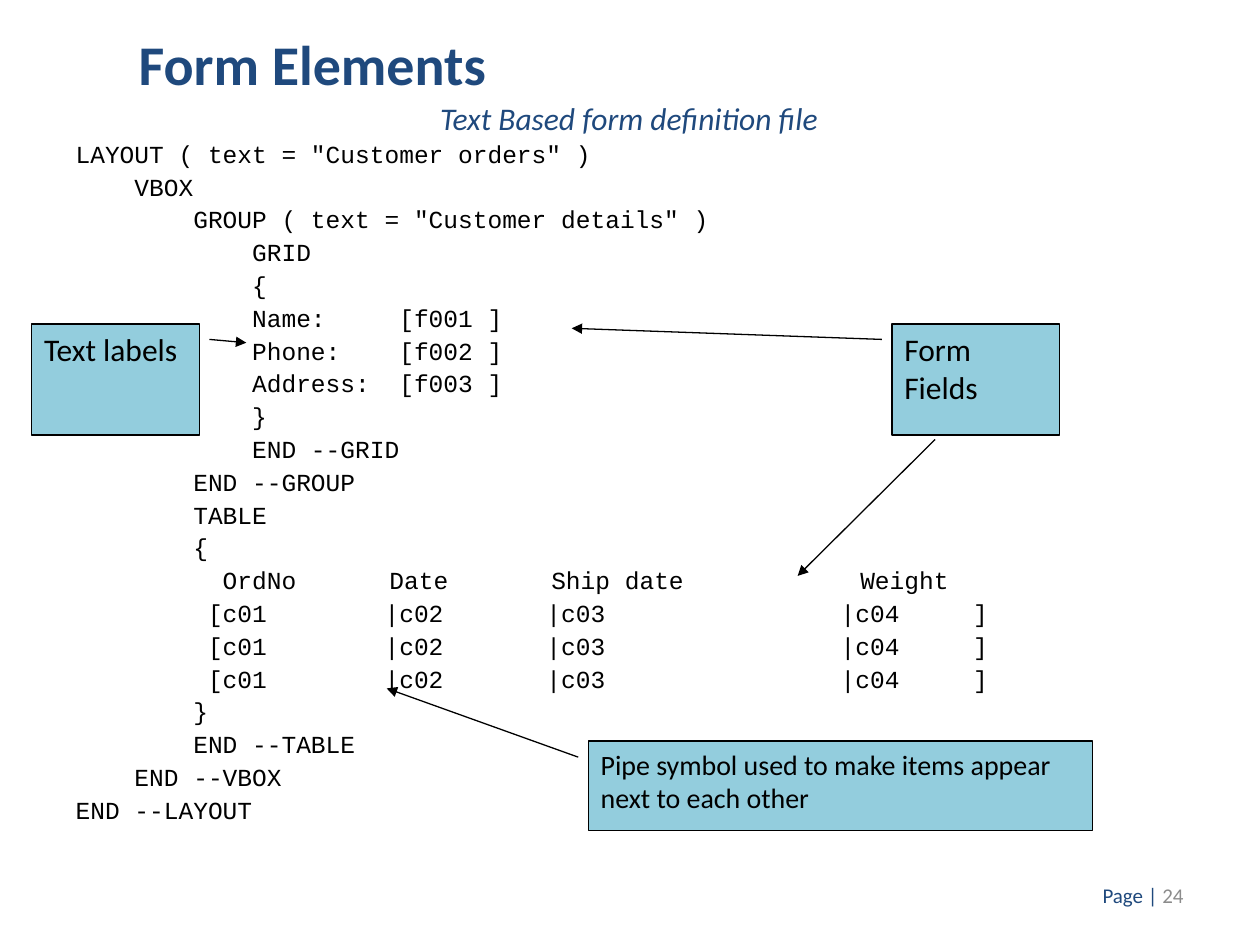
import pptx
import pptx.dml.color
import pptx.enum.shapes
import pptx.enum.text
import pptx.oxml.ns
import pptx.util
from lxml import etree

Cm = pptx.util.Cm
Pt = pptx.util.Pt
Align = pptx.enum.text.PP_ALIGN
Anchor = pptx.enum.text.MSO_ANCHOR
qn = pptx.oxml.ns.qn

NAVY, GREY, BLACK, AQUA = "1F497D", "8C8C8C", "000000", "93CDDD"

TITLE = "Form Elements"
SUBTITLE = "Text Based form definition file"
TABLE_ROW = "         [c01        |c02       |c03                |c04     ]"
CODE = [
    'LAYOUT ( text = "Customer orders" )',
    "    VBOX",
    '        GROUP ( text = "Customer details" )',
    "            GRID",
    "            {",
    "            Name:     [f001 ]",
    "            Phone:    [f002 ]",
    "            Address:  [f003 ]",
    "            }",
    "            END --GRID",
    "        END --GROUP",
    "        TABLE",
    "        {",
    "          OrdNo    \t Date       Ship date            Weight",
    *[TABLE_ROW] * 3,
    "        }",
    "        END --TABLE",
    "    END --VBOX",
    "END --LAYOUT",
]
CALLOUTS = [
    ("Text labels", 18, (0.64, 6.53, 3.38, 2.24), (0.14, 1.06, 0.17, 1.28)),
    ("Form Fields", 18, (17.98, 6.53, 3.38, 2.24), (0.14, -0.06, 0.04, -1.91)),
    ("Pipe symbol used to make items appear next to each other", 16,
     (11.86, 14.94, 10.16, 1.8), (0.18, -0.02, -0.59, -0.4)),
]
FIELD_ARROW = (18.85, 8.86, 16.08, 11.61)
PAGE_LABEL = [("Page | ", NAVY), ("24", GREY)]


def rgb(value):
    return pptx.dml.color.RGBColor.from_string(value)


def place(box, area):
    box.left, box.top, box.width, box.height = (Cm(value) for value in area)


def style(span, size, color, name="Calibri", bold=False, italic=False):
    span.font.size, span.font.name = Pt(size), name
    span.font.bold, span.font.italic = bold, italic
    span.font.color.rgb = rgb(color)


def write(box, text, size, color, align=Align.LEFT, anchor=Anchor.TOP, **font):
    frame = box.text_frame
    frame.word_wrap = True
    frame.auto_size = pptx.enum.text.MSO_AUTO_SIZE.NONE
    frame.vertical_anchor = anchor
    frame.text = text
    for para in frame.paragraphs:
        para.alignment = align
        for span in para.runs:
            style(span, size, color, **font)


def arrow_line(shape):
    shape.line.color.rgb = rgb(BLACK)
    shape.line.width = Pt(0.75)
    outline = shape.line._get_or_add_ln()
    etree.SubElement(outline, qn("a:tailEnd"), type="triangle")


def add_code(box):
    place(box, (1.27, 2.74, 22.86, 14.07))
    write(box, "\n".join(CODE), 14, BLACK, name="Courier New")
    for para in box.text_frame.paragraphs:
        para.line_spacing = 0.9
        para.space_before = Pt(3.6)
        properties = para._p.get_or_add_pPr()
        properties.set("marL", str(Cm(0.95)))
        properties.set("indent", str(Cm(-0.95)))
        etree.SubElement(properties, qn("a:buNone"))


def add_callout(page, text, size, area, pointer):
    kind = pptx.enum.shapes.MSO_SHAPE.LINE_CALLOUT_1
    box = page.shapes.add_shape(kind, *(Cm(value) for value in area))
    for index, value in enumerate(pointer):
        box.adjustments[index] = value
    box.shadow.inherit = False
    box.fill.solid()
    box.fill.fore_color.rgb = rgb(AQUA)
    arrow_line(box)
    write(box, text, size, BLACK)


def add_text(page, area, *args, **options):
    box = page.shapes.add_textbox(*(Cm(value) for value in area))
    write(box, *args, align=Align.RIGHT, anchor=Anchor.MIDDLE, **options)
    return box


def main():
    deck = pptx.Presentation()
    deck.slide_width, deck.slide_height = Cm(25.4), Cm(19.05)
    page = deck.slides.add_slide(deck.slide_layouts[1])

    place(page.shapes.title, (2.54, 0.46, 17.58, 2.29))
    write(page.shapes.title, TITLE, 32, NAVY, bold=True)
    add_code(page.placeholders[1])
    add_text(page, (6.78, 1.52, 9.96, 1.7), SUBTITLE, 18, NAVY, italic=True)

    for callout in CALLOUTS:
        add_callout(page, *callout)

    arrow = page.shapes.add_connector(
        pptx.enum.shapes.MSO_CONNECTOR.STRAIGHT,
        *(Cm(value) for value in FIELD_ARROW))
    arrow_line(arrow)
    etree.SubElement(arrow._element.spPr, qn("a:effectLst"))

    label, number = PAGE_LABEL
    footer = add_text(page, (18.19, 17.53, 5.92, 1.02), label[0], 12, label[1])
    span = footer.text_frame.paragraphs[0].add_run()
    span.text = number[0]
    style(span, 12, number[1])

    deck.save("out.pptx")


if __name__ == "__main__":
    main()
